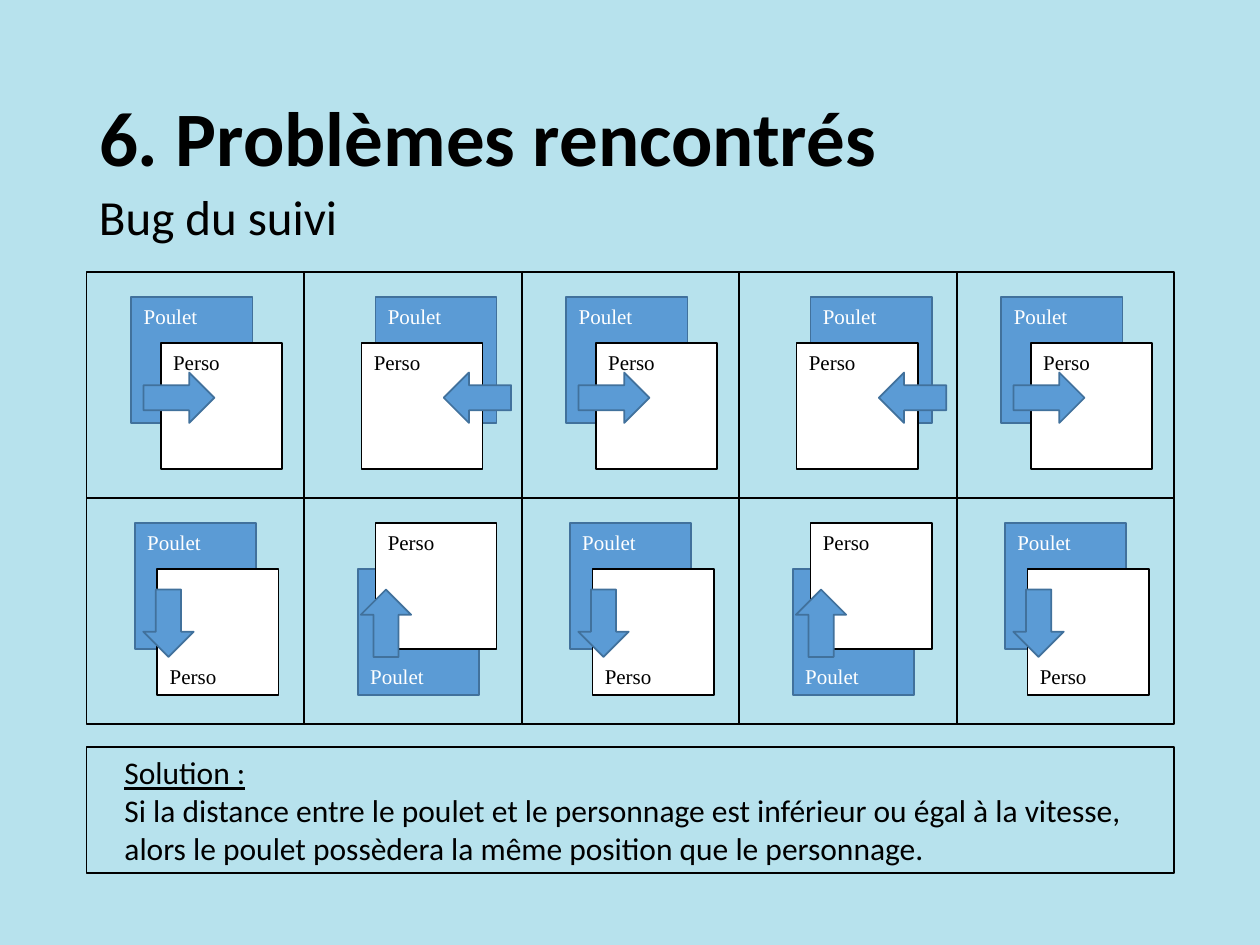
from dataclasses import dataclass

from pptx import Presentation
from pptx.dml.color import RGBColor
from pptx.enum.shapes import MSO_SHAPE as Preset
from pptx.enum.text import MSO_ANCHOR as Anchor, PP_ALIGN as Align
from pptx.util import Pt


@dataclass(frozen=True)
class Theme:
    """Colours, fonts and type sizes of the slide."""
    background: RGBColor = RGBColor.from_string("B7E2ED")
    blue: RGBColor = RGBColor.from_string("5B9BD5")
    blue_line: RGBColor = RGBColor.from_string("41719C")
    white: RGBColor = RGBColor.from_string("FFFFFF")
    black: RGBColor = RGBColor.from_string("000000")
    text_font: str = "Calibri"
    label_font: str = "Times New Roman"
    title_size: int = 44
    subtitle_size: int = 28
    body_size: int = 18
    label_size: int = 12


THEME = Theme()
LEFT, GRID_TOP = 49.5, 155.5
CELL_WIDTH, CELL_HEIGHT, COLUMNS = 124.3, 129.2, 5
BOX_WIDTH, BOX_HEIGHT = 69.3, 72

# Offsets inside a cell: chicken box, character box, then the arrow with its size
SCENES = {
    "right": {"poulet": (25.5, 14.4), "perso": (42.3, 40.6),
              "arrow": (Preset.RIGHT_ARROW, 32.5, 57.4, 40.5, 28.8)},
    "left": {"poulet": (40.7, 14.4), "perso": (32.7, 40.6),
             "arrow": (Preset.LEFT_ARROW, 79.8, 57.4, 38.5, 28.8)},
    "down": {"poulet": (27.5, 14.2), "perso": (40.4, 40.6),
             "arrow": (Preset.DOWN_ARROW, 32.4, 52.2, 28.8, 38.5)},
    "up": {"poulet": (30.6, 40.6), "perso": (40.7, 14.2),
           "arrow": (Preset.UP_ARROW, 32.4, 52.2, 28.8, 38.5)},
}
ROWS = [("right", "left"), ("down", "up")]


def apply_format(target, values):
    """Set each named attribute of the target."""
    for name, value in values.items():
        setattr(target, name, value)


def write_text(shape, lines, color, frame_format=None, paragraph_format=None):
    """Write lines, each a text with its font values, into a shape."""
    frame = shape.text_frame
    apply_format(frame, {"word_wrap": True, "vertical_anchor": Anchor.TOP,
                         **(frame_format or {})})
    for index, (text, font_format) in enumerate(lines):
        paragraph = frame.add_paragraph() if index else frame.paragraphs[0]
        apply_format(paragraph, {"alignment": Align.LEFT, **(paragraph_format or {})})
        run = paragraph.add_run()
        run.text = text
        apply_format(run.font, font_format)
        run.font.color.rgb = color


def add_heading(slide, text, bounds, font_format, paragraph_format=None):
    """Add a vertically centred heading."""
    box = slide.shapes.add_textbox(*map(Pt, bounds))
    write_text(box, [(text, {"name": THEME.text_font, **font_format})], THEME.black,
               {"vertical_anchor": Anchor.MIDDLE}, paragraph_format)


def add_outlined(slide, preset, bounds, line, fill=None):
    """Add a preset shape with a thin outline and an optional fill."""
    shape = slide.shapes.add_shape(preset, *map(Pt, bounds))
    shape.shadow.inherit = False
    if fill is None:
        shape.fill.background()
    else:
        shape.fill.solid()
        shape.fill.fore_color.rgb = fill
    shape.line.color.rgb = line
    shape.line.width = Pt(1)
    return shape


def add_actor(slide, name, left, top, colors, anchor):
    """Add the labelled box of one actor."""
    fill, line, text_color = colors
    box = add_outlined(slide, Preset.RECTANGLE, (left, top, BOX_WIDTH, BOX_HEIGHT),
                       line, fill)
    font_format = {"name": THEME.label_font, "size": Pt(THEME.label_size)}
    write_text(box, [(name, font_format)], text_color, {"vertical_anchor": anchor},
               {"space_before": Pt(5)})


def add_scene(slide, direction, left, top):
    """Add a grid cell with both actors and the arrow of movement."""
    scene = SCENES[direction]
    add_outlined(slide, Preset.RECTANGLE, (left, top, CELL_WIDTH, CELL_HEIGHT),
                 THEME.black)
    actors = {"poulet": (THEME.blue, THEME.blue_line, THEME.white),
              "perso": (THEME.white, THEME.black, THEME.black)}
    for actor, colors in actors.items():
        x, y = scene[actor]
        covered = direction in ("down", "up") and y > BOX_HEIGHT / 2
        add_actor(slide, actor.capitalize(), left + x, top + y, colors,
                  Anchor.BOTTOM if covered else Anchor.TOP)
    preset, x, y, width, height = scene["arrow"]
    add_outlined(slide, preset, (left + x, top + y, width, height),
                 THEME.blue_line, THEME.blue)


def add_solution(slide):
    """Add the framed solution text."""
    box = add_outlined(slide, Preset.RECTANGLE,
                       (LEFT, 427, COLUMNS * CELL_WIDTH, 72), THEME.black)
    font_format = {"name": THEME.text_font, "size": Pt(THEME.body_size)}
    lines = [("Solution :", {**font_format, "underline": True}),
             ("Si la distance entre le poulet et le personnage est inférieur ou égal "
              "à la vitesse, alors le poulet possèdera la même position que le "
              "personnage.", font_format)]
    write_text(box, lines, THEME.black, {"margin_left": Pt(21.6)})


def main():
    """Build the slide and save it."""
    presentation = Presentation()
    apply_format(presentation, {"slide_width": Pt(720), "slide_height": Pt(540)})
    slide = presentation.slides.add_slide(presentation.slide_layouts[6])
    slide.background.fill.solid()
    slide.background.fill.fore_color.rgb = THEME.background

    add_heading(slide, "6. Problèmes rencontrés", (LEFT, 28.8, 621.5, 104.4),
                {"size": Pt(THEME.title_size), "bold": True}, {"line_spacing": 0.9})
    add_heading(slide, "Bug du suivi", (LEFT, 103, 350.6, 41),
                {"size": Pt(THEME.subtitle_size)})
    for row, directions in enumerate(ROWS):
        for column in range(COLUMNS):
            add_scene(slide, directions[column % 2], LEFT + column * CELL_WIDTH,
                      GRID_TOP + row * CELL_HEIGHT)
    add_solution(slide)
    presentation.save("out.pptx")


if __name__ == "__main__":
    main()
